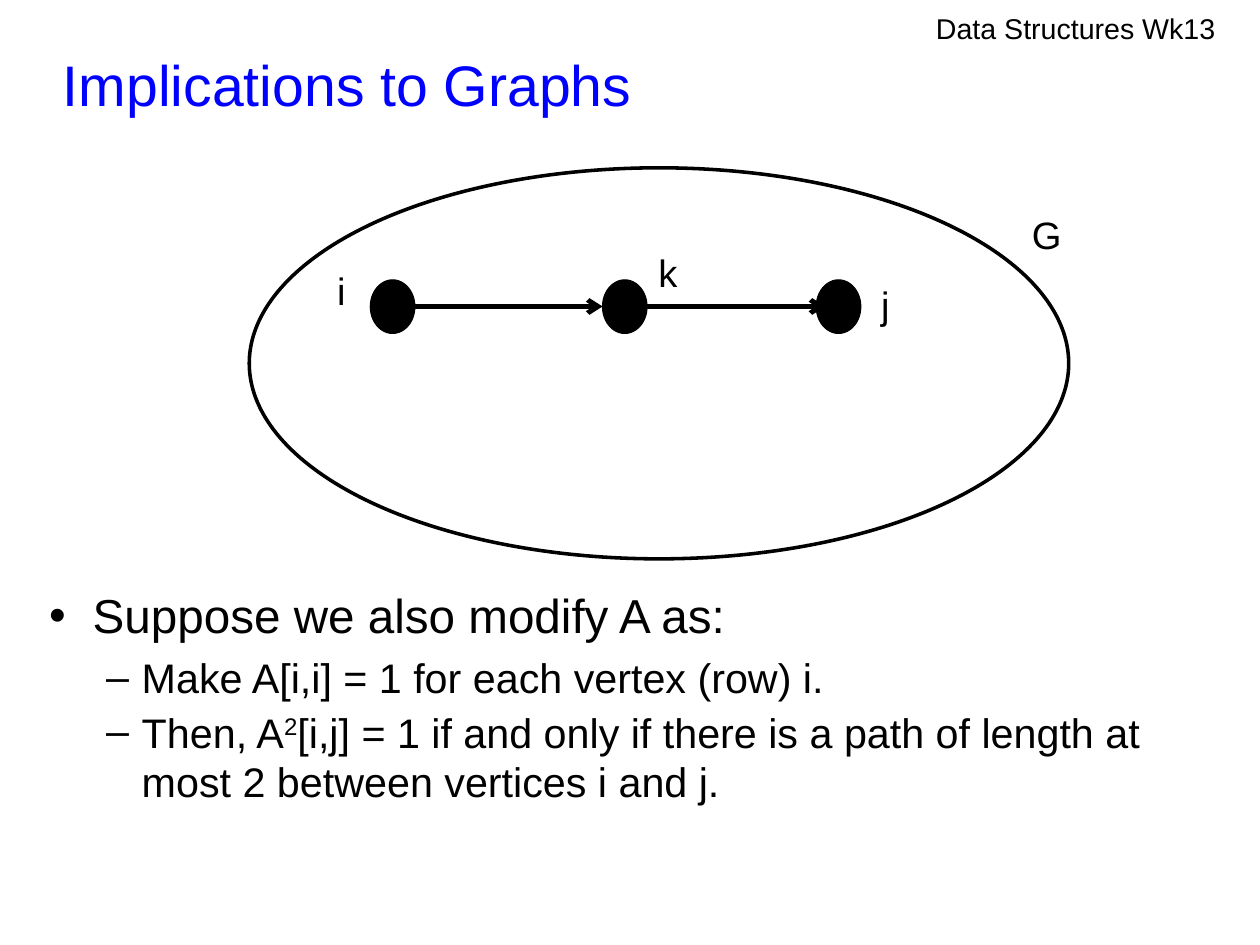
from dataclasses import dataclass

from lxml import etree
from pptx import Presentation
from pptx import util as u
from pptx.dml.color import RGBColor
from pptx.enum import shapes, text
from pptx.oxml import ns

FONT = "Arial"
COLORS = {"ink": "000000", "title": "0000FF"}
VERTEX_TOP, VERTEX_WIDTH, VERTEX_HEIGHT = 6.22, 0.99, 1.19
EDGE_Y, EDGE_LENGTH = 6.81, 4.17


@dataclass
class Label:
    wording: str
    left: float
    top: float
    width: float = 0.58


@dataclass
class Bullet:
    """Runs alternate between normal text and superscript."""
    runs: list[str]
    level: int = 0


@dataclass
class BulletStyle:
    mark: str
    size: float
    margin: float
    hanging: float
    space_after: float


VERTEX_LEFTS = [8.23, 13.39, 18.14]
EDGE_STARTS = [9.22, 14.17]
LABELS = [
    Label("i", 7.24, 5.82),
    Label("k", 14.38, 5.41),
    Label("j", 19.33, 6.12),
    Label("G", 22.68, 4.57, 1.27),
]
BULLETS = [
    Bullet(["Suppose we also modify A as:"]),
    Bullet(["Make A[i,i] = 1 for each vertex (row) i."], 1),
    Bullet(["Then, A", "2", "[i,j] = 1 if and only if there is a path of "
            "length at most 2 between vertices i and j."], 1),
]
BULLET_STYLES = [
    BulletStyle("•", 30, 0.97, 0.97, 5.8),
    BulletStyle("–", 26, 2.06, 0.79, 2.9),
]


def color(name: str) -> RGBColor:
    return RGBColor.from_string(COLORS[name])


def place(box, left: float, top: float, width: float, height: float) -> None:
    box.left, box.top = u.Cm(left), u.Cm(top)
    box.width, box.height = u.Cm(width), u.Cm(height)


def set_font(para, size: float, color_name: str = "ink") -> None:
    para.font.name = FONT
    para.font.size = u.Pt(size)
    para.font.color.rgb = color(color_name)


def prepare_frame(box, anchor=text.MSO_ANCHOR.TOP, inset: bool = False):
    frame = box.text_frame
    frame.word_wrap = True
    frame.auto_size = text.MSO_AUTO_SIZE.NONE
    frame.vertical_anchor = anchor
    side, edge = (u.Cm(0.25), u.Cm(0.13)) if inset else (0, 0)
    frame.margin_left = frame.margin_right = side
    frame.margin_top = frame.margin_bottom = edge
    return frame


def fill_title(box) -> None:
    place(box, 1.4, 0.84, 25.07, 2.03)
    frame = prepare_frame(box, text.MSO_ANCHOR.MIDDLE)
    frame.text = "Implications to Graphs"
    para = frame.paragraphs[0]
    para.alignment = text.PP_ALIGN.LEFT
    set_font(para, 36, "title")


def set_bullet(para, style: BulletStyle) -> None:
    properties = para._p.get_or_add_pPr()
    properties.set("marL", str(u.Cm(style.margin)))
    properties.set("indent", str(-u.Cm(style.hanging)))
    bullet_color = etree.SubElement(properties, ns.qn("a:buClr"))
    etree.SubElement(bullet_color, ns.qn("a:srgbClr"), val=COLORS["ink"])
    etree.SubElement(properties, ns.qn("a:buFont"), typeface=FONT)
    etree.SubElement(properties, ns.qn("a:buChar"), char=style.mark)


def fill_body(box) -> None:
    place(box, 1.09, 13.03, 26.04, 7.82)
    frame = prepare_frame(box)
    for index, bullet in enumerate(BULLETS):
        para = frame.add_paragraph() if index else frame.paragraphs[0]
        style = BULLET_STYLES[bullet.level]
        para.level = bullet.level
        para.space_before = u.Pt(0)
        para.space_after = u.Pt(style.space_after)
        set_bullet(para, style)
        set_font(para, style.size)
        for position, wording in enumerate(bullet.runs):
            span = para.add_run()
            span.text = wording
            if position % 2:
                span._r.get_or_add_rPr().set("baseline", "30000")


def add_text(page, label: Label, height: float, size: float, inset: bool) -> None:
    box = page.shapes.add_textbox(u.Cm(label.left), u.Cm(label.top),
                                  u.Cm(label.width), u.Cm(height))
    frame = prepare_frame(box, inset=inset)
    frame.text = label.wording
    set_font(frame.paragraphs[0], size)


def add_oval(page, left: float, top: float, width: float, height: float,
             line_width: float, filled: bool) -> None:
    oval = page.shapes.add_shape(shapes.MSO_SHAPE.OVAL, u.Cm(left), u.Cm(top),
                                 u.Cm(width), u.Cm(height))
    oval.shadow.inherit = False
    if filled:
        oval.fill.solid()
        oval.fill.fore_color.rgb = color("ink")
    else:
        oval.fill.background()
    oval.line.color.rgb = color("ink")
    oval.line.width = u.Pt(line_width)


def add_edge(page, start: float) -> None:
    edge = page.shapes.add_connector(
        shapes.MSO_CONNECTOR.STRAIGHT, u.Cm(start), u.Cm(EDGE_Y),
        u.Cm(start + EDGE_LENGTH), u.Cm(EDGE_Y))
    edge.line.color.rgb = color("ink")
    edge.line.width = u.Pt(3)
    etree.SubElement(edge.line._get_or_add_ln(), ns.qn("a:tailEnd"), type="arrow")
    etree.SubElement(edge._element.spPr, ns.qn("a:effectLst"))


def main() -> None:
    deck = Presentation()
    deck.slide_width, deck.slide_height = u.Cm(28), u.Cm(21)
    page = deck.slides.add_slide(deck.slide_layouts[1])
    fill_title(page.shapes.title)
    fill_body(page.placeholders[1])
    add_text(page, Label("Data Structures Wk13", 20.8, 0.25, 6.86), 0.81, 18, False)
    for left in VERTEX_LEFTS:
        add_oval(page, left, VERTEX_TOP, VERTEX_WIDTH, VERTEX_HEIGHT, 0.75, True)
    for start in EDGE_STARTS:
        add_edge(page, start)
    add_oval(page, 5.54, 3.73, 18.21, 8.69, 2.25, False)
    for label in LABELS:
        add_text(page, label, 1.27, 24, True)
    deck.save("out.pptx")


if __name__ == "__main__":
    main()
